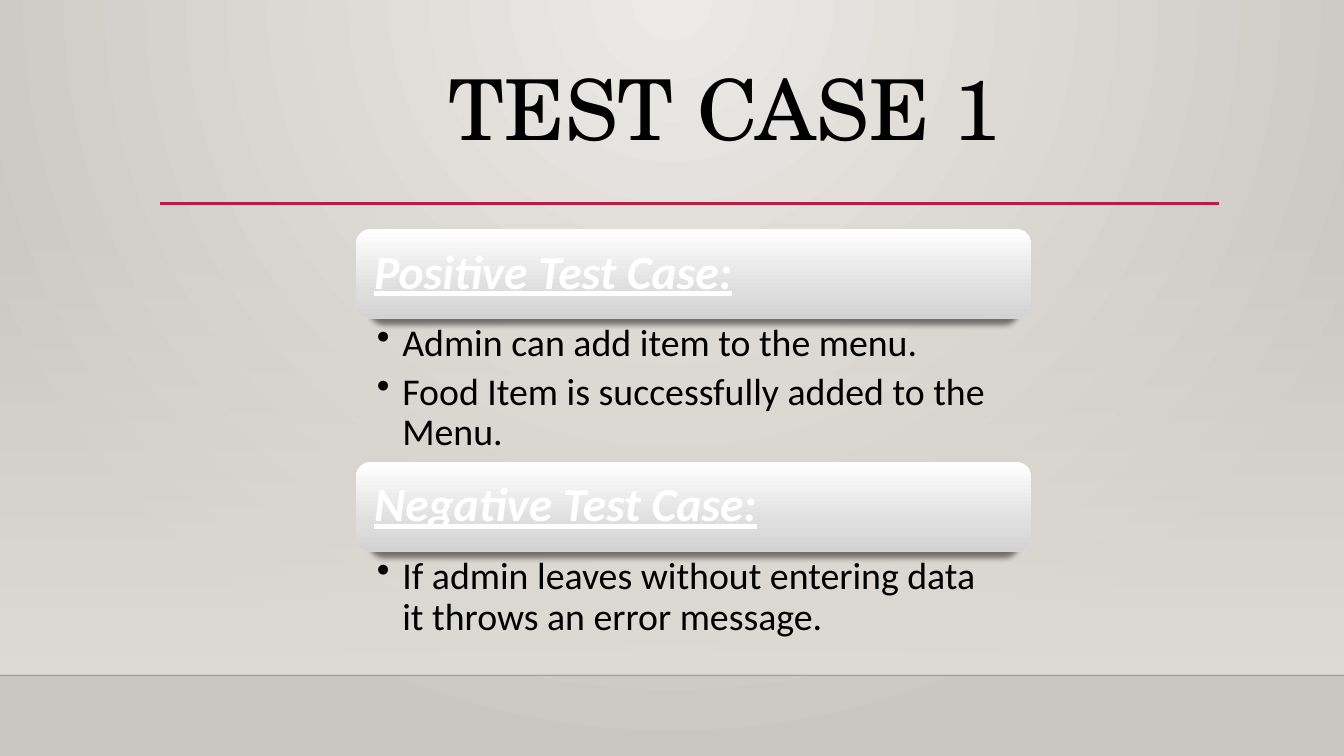
from lxml import etree
from pptx import Presentation
from pptx.dml.color import RGBColor
from pptx.enum.shapes import MSO_CONNECTOR as Line, MSO_SHAPE as Shape
from pptx.enum.text import MSO_ANCHOR as Anchor
from pptx.oxml import parse_xml
from pptx.oxml.ns import nsdecls, qn
from pptx.util import Cm, Pt

BLACK = RGBColor(0x00, 0x00, 0x00)
WHITE = RGBColor(0xFF, 0xFF, 0xFF)
RED = RGBColor(0xB7, 0x1E, 0x42)
EDGE = RGBColor(0x00, 0x00, 0x01)
SAND = RGBColor(0xDF, 0xDB, 0xD5)
PALE = RGBColor(0xEC, 0xEA, 0xE7)
DUSK = RGBColor(0xCA, 0xC7, 0xC1)
SILVER = RGBColor(0xDE, 0xDE, 0xDE)
GREY = RGBColor(0xD3, 0xD3, 0xD3)

DOWN = '<a:lin ang="5400000" scaled="0"/>'
ROUND = ('<a:path path="circle"><a:fillToRect l="43000" t="0" '
         'r="43000" b="100000"/></a:path>')


def blend(fill, root, stops, way):
    """Fill with stops of (percent, colour, opacity percent)."""
    fill.gradient()
    old = root.find(".//" + qn("a:gradFill"))
    marks = "".join(
        f'<a:gs pos="{pos * 1000}"><a:srgbClr val="{tone}">'
        f'<a:alpha val="{solid * 1000}"/></a:srgbClr></a:gs>'
        for pos, tone, solid in stops)
    new = parse_xml(f'<a:gradFill {nsdecls("a")} rotWithShape="1">'
                    f'<a:gsLst>{marks}</a:gsLst>{way}</a:gradFill>')
    old.getparent().replace(old, new)


def write(lines, left, top, width, height, size, color=BLACK, face="Calibri",
          bold=False, slant=False, under=False, bullet=False, after=0,
          pad=(0.25, 0.13, 0.25, 0.13), anchor=Anchor.TOP):
    box = slide.shapes.add_textbox(Cm(left), Cm(top), Cm(width), Cm(height))
    frame = box.text_frame
    frame.word_wrap = True
    frame.vertical_anchor = anchor
    (frame.margin_left, frame.margin_top,
     frame.margin_right, frame.margin_bottom) = map(Cm, pad)
    for i, line in enumerate(lines):
        para = frame.add_paragraph() if i else frame.paragraphs[0]
        if bullet:
            props = para._p.get_or_add_pPr()
            props.set("marL", str(Cm(0.64)))
            props.set("indent", str(-Cm(0.64)))
            etree.SubElement(props, qn("a:buChar")).set("char", "•")
        para.line_spacing = 0.9
        para.space_after = Pt(after)
        run = para.add_run()
        run.text = line
        font = run.font
        font.name, font.size, font.color.rgb = face, Pt(size), color
        font.bold, font.italic, font.underline = bold, slant, under


deck = Presentation()
deck.slide_width, deck.slide_height = Cm(33.87), Cm(19.05)
slide = deck.slides.add_slide(deck.slide_layouts[6])
blend(slide.background.fill, slide.element,
      [(0, PALE, 100), (100, DUSK, 100)], ROUND)

# Backdrop and rules
glow = slide.shapes.add_shape(Shape.RECTANGLE, 0, Cm(5.61), Cm(33.87), Cm(11.4))
glow.shadow.inherit = False
glow.line.fill.background()
blend(glow.fill, glow.element, [(0, SAND, 0), (100, SAND, 100)], DOWN)

for left, right, top, tone, width, solid in [
        (0, 33.87, 17.02, EDGE, 1, 20), (4.04, 30.73, 5.13, RED, 2.5, 100)]:
    rule = slide.shapes.add_connector(
        Line.STRAIGHT, Cm(left), Cm(top), Cm(right), Cm(top))
    rule.line.color.rgb = tone
    rule.line.width = Pt(width)
    hue = rule.element.find(".//" + qn("a:srgbClr"))
    etree.SubElement(hue, qn("a:alpha")).set("val", str(solid * 1000))
    etree.SubElement(rule.element.spPr, qn("a:effectLst"))

write(["TEST CASE 1"], 11.05, 1.57, 22.2, 2.26, 60, face="TeX Gyre Schola")

# Test cases
cases = [
    ("Positive Test Case:", 3.61,
     ["Admin can add item to the menu.",
      "Food Item is successfully added to the Menu."]),
    ("Negative Test Case:", 2.34,
     ["If admin leaves without entering data it throws an error message."]),
]
top = 5.77
for head, depth, points in cases:
    bar = slide.shapes.add_shape(
        Shape.ROUNDED_RECTANGLE, Cm(8.97), Cm(top), Cm(17.02), Cm(2.26))
    bar.line.fill.background()
    blend(bar.fill, bar.element,
          [(0, WHITE, 100), (69, SILVER, 100), (100, GREY, 100)], DOWN)
    bar.element.spPr.append(parse_xml(
        f'<a:effectLst {nsdecls("a")}><a:outerShdw blurRad="{Pt(4)}" '
        f'dist="{Pt(4)}" dir="5400000" sx="96000" sy="96000" rotWithShape="0">'
        f'<a:srgbClr val="{BLACK}"><a:alpha val="48000"/></a:srgbClr>'
        '</a:outerShdw></a:effectLst>'))
    write([head], 9.07, top + 0.11, 16.81, 2.03, 34, WHITE, bold=True,
          slant=True, under=True, pad=[0.36] * 4, anchor=Anchor.MIDDLE)
    write(points, 8.97, top + 2.26, 17.02, depth, 27, bullet=True, after=5.5,
          pad=(0.53, 0.13, 0.66, 0.13))
    top += 2.26 + depth

deck.save("out.pptx")
